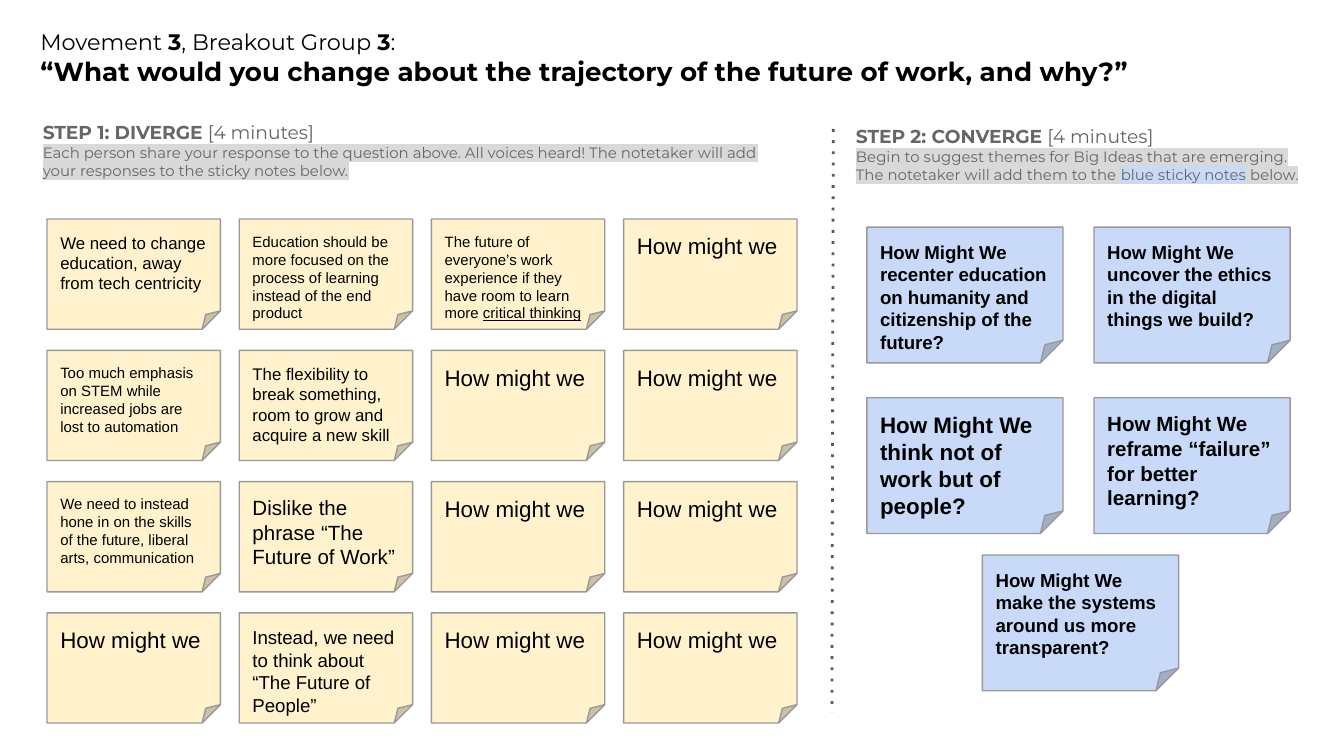
from pptx import Presentation
from pptx import util as u
from pptx.dml.color import RGBColor
from pptx.enum import dml, shapes, text
from pptx.oxml.ns import qn
from lxml import etree

THEME = {
    "head": "Montserrat", "body": "Arial",
    "ink": "000000", "grey": "666666", "edge": "999999", "rule": "595959",
    "yellow": "FFF2CC", "blue": "C9DAF8", "mark": "D9D9D9",
    "lead": 12, "title": 14, "step": 10, "guide": 8, "edge_w": 0.75, "rule_w": 1.5,
}

TITLE = [
    (THEME["lead"], [("Movement ", {}), ("3", {"bold": True}), (", Breakout Group ", {}),
                     ("3", {"bold": True}), (":", {})]),
    (THEME["title"], [("“What would you change about the trajectory of the future of work, and why?”",
                       {"bold": True})]),
]

GREY, BLUE = {"mark": THEME["mark"]}, {"mark": THEME["blue"]}
STEPS = [
    ((0.22, 0.8, 5.64, 0.85), "STEP 1: DIVERGE ", [
        ("Each person share your response to the question above. All voices heard! "
         "The notetaker will add your responses to the sticky notes below.", GREY)]),
    ((6.27, 0.83, 3.55, 0.64), "STEP 2: CONVERGE ", [
        ("Begin to suggest themes for Big Ideas that are emerging. "
         "The notetaker will add them to the ", GREY),
        ("blue sticky notes", BLUE), (" below.", GREY)]),
]
TIME = "[4 minutes]"

EMPTY = (12, "How might we")
RESPONSES = [
    [(9, "We need to change education, away from tech centricity"),
     (8, "Education should be more focused on the process of learning instead of the end product"),
     (8, "The future of everyone’s work experience if they have room to learn more ", "critical thinking"),
     EMPTY],
    [(8, "Too much emphasis on STEM while increased jobs are lost to automation"),
     (9, "The flexibility to break something, room to grow and acquire a new skill"), EMPTY, EMPTY],
    [(8, "We need to instead hone in on the skills of the future, liberal arts, communication"),
     (11, "Dislike the phrase “The Future of Work”"), EMPTY, EMPTY],
    [EMPTY, (10, "Instead, we need to think about “The Future of People”"), EMPTY, EMPTY],
]
THEMES = [
    (6.45, 1.69, 10, "How Might We recenter education on humanity and citizenship of the future?"),
    (8.14, 1.69, 10, "How Might We uncover the ethics in the digital things we build?"),
    (6.45, 2.96, 12, "How Might We think not of work but of people?"),
    (8.14, 2.96, 11, "How Might We reframe “failure” for better learning?"),
    (7.31, 4.13, 10, "How Might We make the systems around us more transparent?"),
]


def rgb(name):
    return RGBColor.from_string(THEME[name])


def write(tf, paragraphs, font, color, inset=(0.1, 0.1)):
    tf.word_wrap = True
    tf.auto_size = text.MSO_AUTO_SIZE.NONE
    tf.vertical_anchor = text.MSO_ANCHOR.TOP
    tf.margin_left = tf.margin_right = u.Inches(inset[0])
    tf.margin_top = tf.margin_bottom = u.Inches(inset[1])
    for i, (size, runs) in enumerate(paragraphs):
        p = tf.add_paragraph() if i else tf.paragraphs[0]
        p.alignment = text.PP_ALIGN.LEFT
        for words, style in runs:
            r = p.add_run()
            r.text = words
            r.font.name, r.font.size = THEME[font], u.Pt(size)
            r.font.bold = style.get("bold", False)
            r.font.underline = style.get("underline")
            r.font.color.rgb = rgb(color)
            if "mark" in style:
                mark = etree.Element(qn("a:highlight"))
                etree.SubElement(mark, qn("a:srgbClr"), val=style["mark"])
                r.font._element.find(qn("a:solidFill")).addnext(mark)


def add_note(s, box, fill, size, runs):
    sp = s.shapes.add_shape(shapes.MSO_SHAPE.FOLDED_CORNER, *map(u.Inches, box))
    sp.shadow.inherit = False
    sp.fill.solid()
    sp.fill.fore_color.rgb = rgb(fill)
    sp.line.color.rgb = rgb("edge")
    sp.line.width = u.Pt(THEME["edge_w"])
    write(sp.text_frame, [(size, runs)], "body", "ink")


def add_divider(s, x1, y1, x2, y2):
    line = s.shapes.add_connector(shapes.MSO_CONNECTOR.STRAIGHT, *map(u.Inches, (x1, y1, x2, y2)))
    line.line.color.rgb = rgb("rule")
    line.line.width = u.Pt(THEME["rule_w"])
    line.line.dash_style = dml.MSO_LINE.ROUND_DOT
    props = line._element.spPr
    props.find(".//" + qn("a:prstDash")).set("val", "dot")
    etree.SubElement(props, qn("a:effectLst"))


def main():
    prs = Presentation()
    prs.slide_width = u.Inches(10)
    prs.slide_height = prs.slide_width * 9 // 16
    s = prs.slides.add_slide(prs.slide_layouts[5])

    title = s.shapes.title
    title.left, title.top, title.width, title.height = map(u.Inches, (0.15, 0.11, 9.51, 0.28))
    write(title.text_frame, TITLE, "head", "ink", (0.15, 0.07))
    title.text_frame.paragraphs[0].line_spacing = 1.15

    for box, name, guide in STEPS:
        sp = s.shapes.add_textbox(*map(u.Inches, box))
        heading = [(name, {"bold": True}), (TIME, {})]
        write(sp.text_frame, [(THEME["step"], heading), (THEME["guide"], guide)], "head", "grey")

    add_divider(s, 6.2, 0.96, 6.19, 5.3)

    left, top, col_step, row_step = 0.35, 1.63, 1.43, 2.93 / 3
    for row, notes in enumerate(RESPONSES):
        for col, (size, words, *underlined) in enumerate(notes):
            runs = [(words, {})] + [(t, {"underline": True}) for t in underlined]
            box = (left + col * col_step, top + row * row_step, 1.29, 0.82)
            add_note(s, box, "yellow", size, runs)

    for x, y, size, words in THEMES:
        add_note(s, (x, y, 1.46, 1.01), "blue", size, [(words, {"bold": True})])

    prs.save("out.pptx")


if __name__ == "__main__":
    main()
